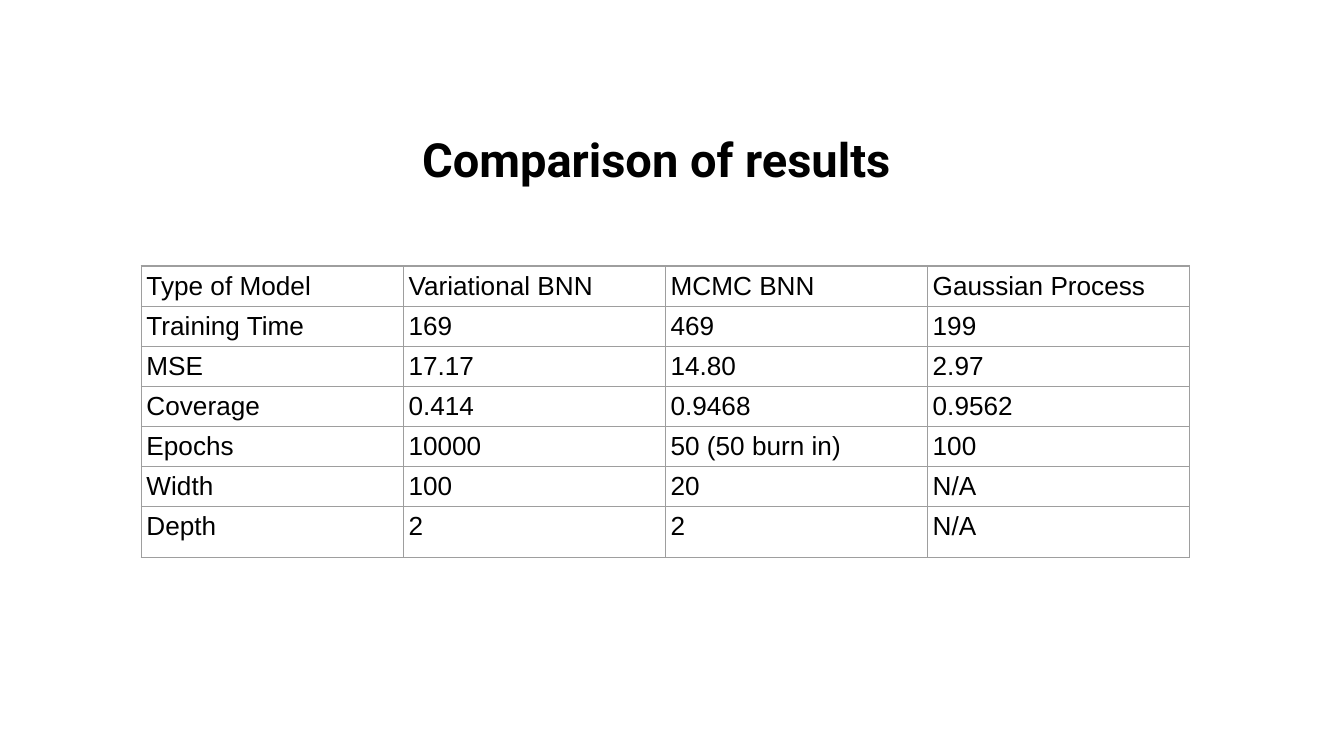
from lxml import etree
from pptx import Presentation
from pptx.dml.color import RGBColor
from pptx.enum.text import MSO_ANCHOR, PP_ALIGN
from pptx.oxml.ns import qn
from pptx.util import Inches, Pt

LEFT, TOP = PP_ALIGN.LEFT, MSO_ANCHOR.TOP
TITLE_ONLY = 5
COLORS = {"text": "000000", "border": "9E9E9E", "background": "FFFFFF"}
HEADING_FONT = {"name": "Roboto", "size": Pt(25.2), "bold": True}
CELL_FONT = {"name": "Arial", "size": Pt(14), "bold": False}
SIDES = ("left", "right", "top", "bottom")
CELL_FORMAT = {"vertical_anchor": TOP}
CELL_FORMAT.update({f"margin_{side}": Inches(0.04) for side in SIDES})
HEADING_FORMAT = {"vertical_anchor": TOP, "word_wrap": True}
HEADING_FORMAT.update({f"margin_{side}": Inches(0.1) for side in SIDES})

RESULTS = [
    ["Type of Model", "Variational BNN", "MCMC BNN", "Gaussian Process"],
    ["Training Time", "169", "469", "199"],
    ["MSE", "17.17", "14.80", "2.97"],
    ["Coverage", "0.414", "0.9468", "0.9562"],
    ["Epochs", "10000", "50 (50 burn in)", "100"],
    ["Width", "100", "20", "N/A"],
    ["Depth", "2", "2", "N/A"],
]
COLUMN_WIDTH, ROW_HEIGHT, LAST_ROW_HEIGHT = Inches(1.95), Inches(0.28), Inches(0.38)


def apply_format(target, values):
    for attribute, value in values.items():
        setattr(target, attribute, value)


def write_text(paragraph, text, font_values):
    paragraph.text = text
    paragraph.alignment = LEFT
    font = paragraph.runs[0].font
    apply_format(font, font_values)
    font.color.rgb = RGBColor.from_string(COLORS["text"])


# Widescreen slide, 16:9
prs = Presentation()
prs.slide_width = Inches(10)
prs.slide_height = prs.slide_width * 9 // 16
slide = prs.slides.add_slide(prs.slide_layouts[TITLE_ONLY])
slide.background.fill.solid()
slide.background.fill.fore_color.rgb = RGBColor.from_string(COLORS["background"])

# Heading
heading = slide.shapes.title
apply_format(heading, {"left": Inches(3.04), "top": Inches(0.87),
                       "width": Inches(3.92), "height": Inches(0.63)})
apply_format(heading.text_frame, HEADING_FORMAT)
write_text(heading.text_frame.paragraphs[0], "Comparison of results", HEADING_FONT)

# Results table: equal columns, equal rows and a taller last row
row_count, column_count = len(RESULTS), len(RESULTS[0])
results = slide.shapes.add_table(
    row_count, column_count, Inches(1.05), Inches(1.98),
    COLUMN_WIDTH * column_count, ROW_HEIGHT * (row_count - 1) + LAST_ROW_HEIGHT).table
results.first_row = results.horz_banding = False
for column in results.columns:
    column.width = COLUMN_WIDTH
for row in results.rows:
    row.height = ROW_HEIGHT
results.rows[row_count - 1].height = LAST_ROW_HEIGHT

for row_index, entries in enumerate(RESULTS):
    for column_index, entry in enumerate(entries):
        cell = results.cell(row_index, column_index)
        apply_format(cell, CELL_FORMAT)
        write_text(cell.text_frame.paragraphs[0], entry, CELL_FONT)

        # Borders come before the fill in the cell properties
        properties = cell._tc.get_or_add_tcPr()
        for edge in ("a:lnL", "a:lnR", "a:lnT", "a:lnB"):
            border = etree.SubElement(properties, qn(edge), w=str(Pt(0.75)))
            border_fill = etree.SubElement(border, qn("a:solidFill"))
            etree.SubElement(border_fill, qn("a:srgbClr"), val=COLORS["border"])
        cell.fill.background()

prs.save("out.pptx")
